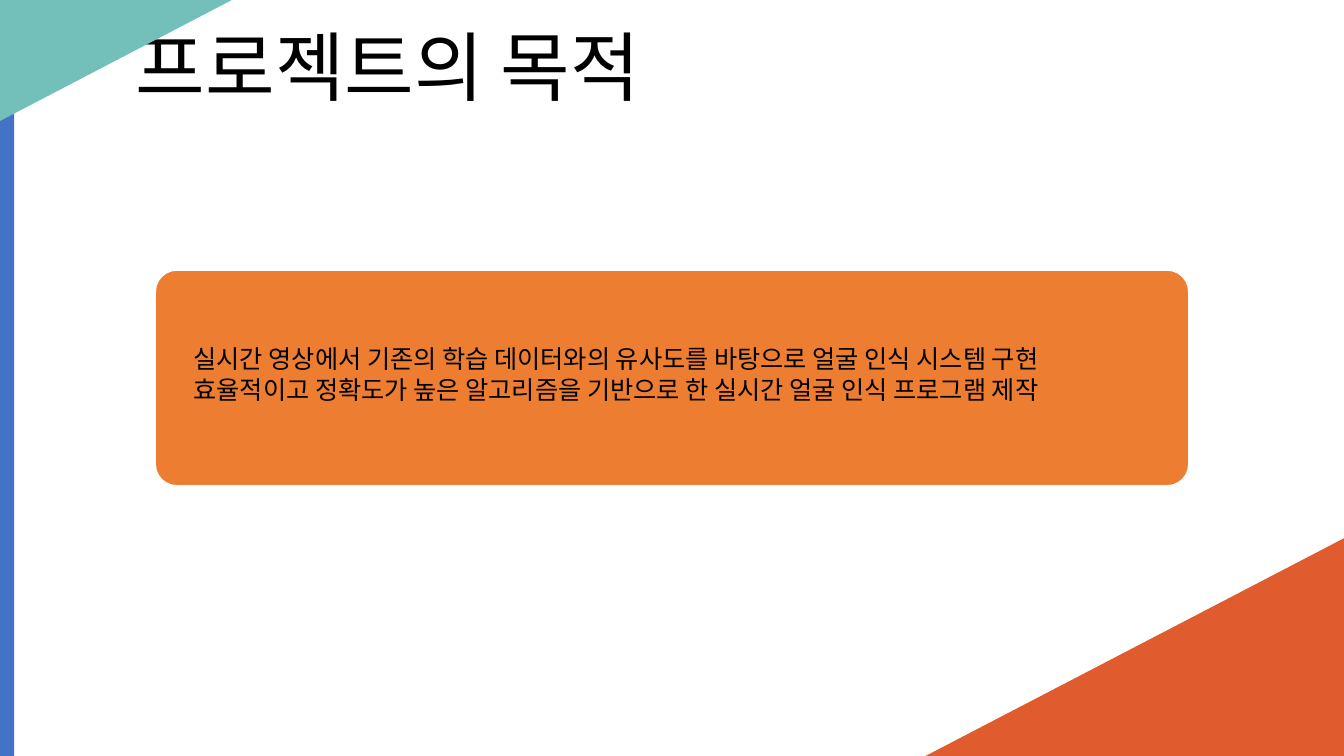
from dataclasses import dataclass

from lxml.etree import SubElement
from pptx import Presentation
from pptx.dml.color import RGBColor
from pptx.enum.shapes import MSO_SHAPE
from pptx.enum.text import MSO_ANCHOR
from pptx.oxml.ns import qn
from pptx.util import Emu, Pt

PX = 9144  # 100 px to the inch
PAGE_WIDTH, PAGE_HEIGHT = 1333, 750


@dataclass(frozen=True)
class Theme:
    font: str = "Noto Sans CJK KR"
    text: str = "000000"
    white: str = "FFFFFF"
    card: str = "ED7D31"
    stripe: str = "4472C4"
    bottom_corner: str = "E05B2E"
    top_corner: str = "73C0BA"
    title_size: int = 54
    body_size: int = 18


THEME = Theme()


def px(length):
    return Emu(length * PX)


def add_panel(page, kind, box, color, outline=None):
    """Filled shape in box (left, top, width, height)."""
    panel = page.shapes.add_shape(kind, *map(px, box))
    panel.shadow.inherit = False
    panel.fill.solid()
    panel.fill.fore_color.rgb = RGBColor.from_string(color)
    if outline:
        panel.line.color.rgb = RGBColor.from_string(outline)
        panel.line.width = Pt(1)
    else:
        panel.line.fill.background()
    return panel


def add_text(page, box, lines, size, anchor, indent=0, **spacing):
    """Text box with one paragraph for each line."""
    frame = page.shapes.add_textbox(*map(px, box)).text_frame
    frame.word_wrap = True
    frame.vertical_anchor = anchor
    for index, line in enumerate(lines):
        para = frame.paragraphs[0] if index == 0 else frame.add_paragraph()
        if indent:
            para._p.get_or_add_pPr().set("marL", str(px(indent)))
        for name, value in spacing.items():
            setattr(para, name, value)
        span = para.add_run()
        span.text = line
        span.font.color.rgb = RGBColor.from_string(THEME.text)
        for name, value in {"size": Pt(size), "name": THEME.font}.items():
            setattr(span.font, name, value)
        SubElement(span._r.get_or_add_rPr(), qn("a:ea"), typeface=THEME.font)


def add_card(page, box):
    card = add_panel(page, MSO_SHAPE.ROUNDED_RECTANGLE, box, THEME.card, THEME.white)
    card.adjustments[0] = 0.1


def add_goals(page, box, goals):
    """Goal lines, set inside the left edge of the card's box."""
    left, top, width, _ = box
    add_text(page, (left + 28, top + 68, width + 217, 101), goals,
             THEME.body_size, MSO_ANCHOR.TOP)


def add_title(page, box, title):
    add_text(page, box, [title], THEME.title_size, MSO_ANCHOR.MIDDLE,
             indent=82, line_spacing=0.9, space_after=Pt(6))


def add_decoration(page, box):
    """Left stripe and the two coloured corners of the page."""
    left, top, width, height = box
    add_panel(page, MSO_SHAPE.RECTANGLE, (left, top, 14, height), THEME.stripe)
    corners = [
        (left + width - 415, top + height - 216, 415, 216, THEME.bottom_corner, 0),
        (left, top, 230, 120, THEME.top_corner, 180),
    ]
    for *corner_box, color, turn in corners:
        corner = add_panel(page, MSO_SHAPE.ISOSCELES_TRIANGLE, corner_box, color)
        corner.adjustments[0] = 1.0
        corner.rotation = turn


def main():
    deck = Presentation()
    deck.slide_width, deck.slide_height = px(PAGE_WIDTH), px(PAGE_HEIGHT)
    page = deck.slides.add_slide(deck.slide_layouts[6])

    card_box = (154, 268, 1025, 214)
    add_card(page, card_box)
    add_title(page, (43, -2, 1248, 145), "프로젝트의 목적")
    add_decoration(page, (0, 0, PAGE_WIDTH, PAGE_HEIGHT))
    add_goals(page, card_box, [
        "실시간 영상에서 기존의 학습 데이터와의 유사도를 바탕으로 얼굴 인식 시스템 구현",
        "효율적이고 정확도가 높은 알고리즘을 기반으로 한 실시간 얼굴 인식 프로그램 제작",
    ])
    deck.save("out.pptx")


if __name__ == "__main__":
    main()
